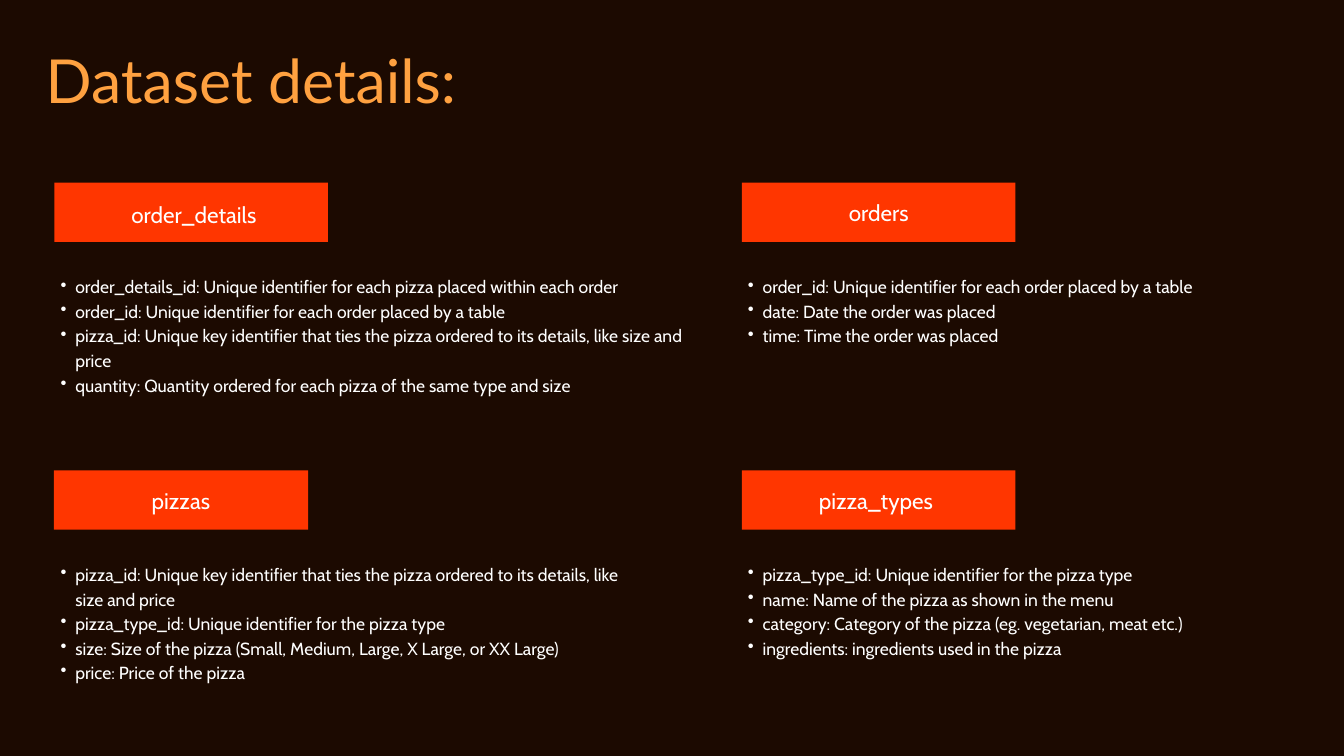
"""Build the slide describing the four tables of the pizza dataset."""
from lxml.etree import SubElement
from pptx import Presentation
from pptx.dml.color import RGBColor
from pptx.enum.shapes import MSO_SHAPE
from pptx.enum.text import MSO_ANCHOR, PP_ALIGN
from pptx.oxml.ns import qn
from pptx.util import Pt

BACKGROUND = RGBColor(0x1C, 0x0A, 0x01)
BANNER_RED = RGBColor(0xFF, 0x36, 0x00)
TITLE_ORANGE = RGBColor(0xFF, 0xA1, 0x40)
WHITE = RGBColor(0xFF, 0xFF, 0xFF)

TITLE = "Dataset details:"
TABLES = [
    {"name": "order_details", "column": 0, "row": 0, "banner": (58.3, 293),
     "label_offset": (5.8, 15.1), "list_size": (691.2, 157),
     "fields": [
         "order_details_id: Unique identifier for each pizza placed within each order",
         "order_id: Unique identifier for each order placed by a table",
         "pizza_id: Unique key identifier that ties the pizza ordered to its details, like size and price",
         "quantity: Quantity ordered for each pizza of the same type and size"]},
    {"name": "orders", "column": 1, "row": 0, "banner": (794.9, 293),
     "label_offset": (2.9, 13), "list_size": (691.2, 104.4),
     "fields": [
         "order_id: Unique identifier for each order placed by a table",
         "date: Date the order was placed",
         "time: Time the order was placed"]},
    {"name": "pizzas", "column": 0, "row": 1, "banner": (57.6, 272.5),
     "label_offset": (2.9, 13), "list_size": (643, 157),
     "fields": [
         "pizza_id: Unique key identifier that ties the pizza ordered to its details, like size and price",
         "pizza_type_id: Unique identifier for the pizza type",
         "size: Size of the pizza (Small, Medium, Large, X Large, or XX Large)",
         "price: Price of the pizza"]},
    {"name": "pizza_types", "column": 1, "row": 1, "banner": (794.9, 293),
     "label_offset": (0, 13), "list_size": (691.2, 130.3),
     "fields": [
         "pizza_type_id: Unique identifier for the pizza type",
         "name: Name of the pizza as shown in the menu",
         "category: Category of the pizza (eg. vegetarian, meat etc.)",
         "ingredients: ingredients used in the pizza"]},
]

LIST_LEFTS = (49, 785.5)
BANNER_TOPS = (195.8, 504)
BANNER_HEIGHT = 63.4
LABEL_HEIGHT = 31.7
LABEL_INSET = 5.7
LIST_DROP = 96.5


def fill_text(frame, lines, font_name, size, spacing, color, align=PP_ALIGN.LEFT):
    frame.margin_left = frame.margin_right = 0
    frame.margin_top = frame.margin_bottom = 0
    frame.word_wrap = True
    frame.vertical_anchor = MSO_ANCHOR.TOP
    frame.text = "\n".join(lines)
    for para in frame.paragraphs:
        para.alignment = align
        para.line_spacing = Pt(spacing)
        for span in para.runs:
            span.font.name = font_name
            span.font.size = Pt(size)
            span.font.color.rgb = color


def add_bullets(frame):
    for para in frame.paragraphs:
        para.level = 1
        properties = para._p.get_or_add_pPr()
        properties.set("marL", str(Pt(31.7)))
        properties.set("indent", str(-Pt(15.8)))
        SubElement(properties, qn("a:buChar")).set("char", "•")


def add_text_box(page, left, top, width, height):
    return page.shapes.add_textbox(Pt(left), Pt(top), Pt(width), Pt(height)).text_frame


def add_table_details(page, table):
    left, width = table["banner"]
    top = BANNER_TOPS[table["row"]]
    banner = page.shapes.add_shape(
        MSO_SHAPE.RECTANGLE, Pt(left), Pt(top), Pt(width), Pt(BANNER_HEIGHT))
    banner.shadow.inherit = False
    banner.fill.solid()
    banner.fill.fore_color.rgb = BANNER_RED
    banner.line.fill.background()

    shift, drop = table["label_offset"]
    label = add_text_box(page, left + shift, top + drop, width - LABEL_INSET, LABEL_HEIGHT)
    fill_text(label, [table["name"]], "Cabin", 24.1, 33.8, WHITE, PP_ALIGN.CENTER)

    fields = add_text_box(
        page, LIST_LEFTS[table["column"]], top + LIST_DROP, *table["list_size"])
    fill_text(fields, table["fields"], "Cabin", 18.8, 26.3, WHITE)
    add_bullets(fields)


def main():
    deck = Presentation()
    deck.slide_width, deck.slide_height = Pt(1440), Pt(810)
    page = deck.slides.add_slide(deck.slide_layouts[5])
    page.background.fill.solid()
    page.background.fill.fore_color.rgb = BACKGROUND

    title = page.shapes.title
    title.left, title.top, title.width, title.height = Pt(49), Pt(33.1), Pt(643), Pt(86.4)
    fill_text(title.text_frame, [TITLE], "Lato", 65, 91, TITLE_ORANGE)

    for table in TABLES:
        add_table_details(page, table)
    deck.save("out.pptx")


if __name__ == "__main__":
    main()
